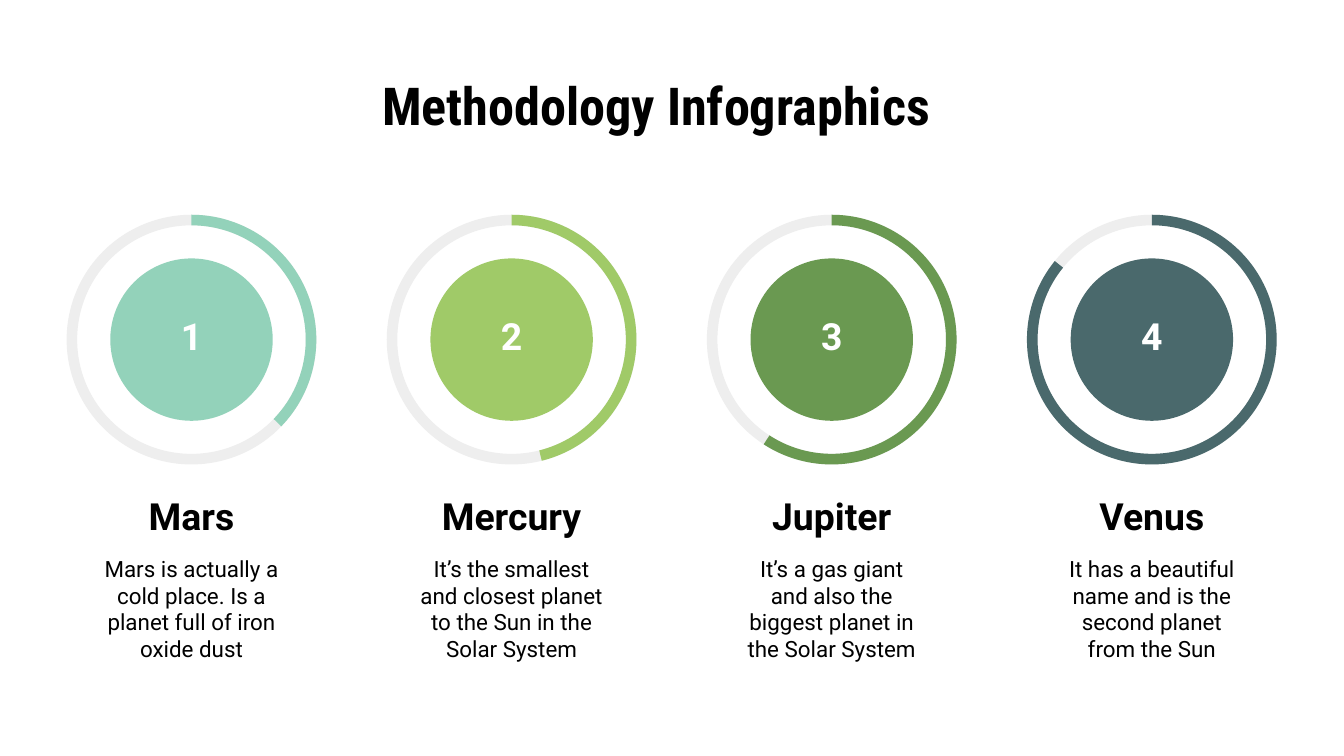
from dataclasses import dataclass

from pptx import Presentation
from pptx.dml.color import RGBColor
from pptx.enum.shapes import MSO_SHAPE as Preset
from pptx.enum.text import MSO_ANCHOR as Anchor, PP_ALIGN as Align
from pptx.shapes.autoshape import Shape
from pptx.slide import Slide
from pptx.util import Cm, Pt


@dataclass(frozen=True)
class Theme:
    text: str = "000000"
    number: str = "FFFFFF"
    track: str = "EEEEEE"
    body_font: str = "Roboto"
    title_font: str = "Roboto Condensed"
    title_size: int = 28
    heading_size: int = 20
    body_size: int = 12


@dataclass(frozen=True)
class Step:
    name: str
    description: str
    color: str
    end_angle: float


THEME = Theme()
STEPS = [
    Step("Mars", "Mars is actually a cold place. Is a planet full of iron oxide dust",
         "93D2BA", 44),
    Step("Mercury", "It’s the smallest and closest planet to the Sun in the Solar System",
         "A0CA68", 76),
    Step("Jupiter", "It’s a gas giant and also the biggest planet in the Solar System",
         "6A9951", 123),
    Step("Venus", "It has a beautiful name and is the second planet from the Sun",
         "4A696C", 219),
]

FIRST_CENTER, STEP_PITCH = 3.62, 6.05
RING_MIDDLE, RING_DIAMETER, DISC_DIAMETER = 6.42, 4.72, 3.07
RING_THICKNESS = 0.2 / RING_DIAMETER
TOP_ANGLE = 270
ANGLE_UNIT = 0.6


def add_text(slide: Slide, text: str, *, center: float, top: float, width: float,
             height: float, size: int, color: str = THEME.text,
             font: str = THEME.body_font, bold: bool = False,
             anchor: Anchor = Anchor.MIDDLE) -> None:
    box = slide.shapes.add_textbox(Cm(center - width / 2), Cm(top), Cm(width), Cm(height))
    frame = box.text_frame
    frame.word_wrap = True
    frame.vertical_anchor = anchor
    frame.margin_left = frame.margin_right = Cm(0.25)
    frame.margin_top = frame.margin_bottom = Cm(0.25)
    paragraph = frame.paragraphs[0]
    paragraph.alignment = Align.CENTER
    run = paragraph.add_run()
    run.text = text
    run.font.name = font
    run.font.size = Pt(size)
    run.font.bold = bold
    run.font.color.rgb = RGBColor.from_string(color)


def add_round(slide: Slide, preset: Preset, center: float, diameter: float,
              color: str) -> Shape:
    shape = slide.shapes.add_shape(
        preset, Cm(center - diameter / 2), Cm(RING_MIDDLE - diameter / 2),
        Cm(diameter), Cm(diameter))
    shape.shadow.inherit = False
    shape.fill.solid()
    shape.fill.fore_color.rgb = RGBColor.from_string(color)
    shape.line.fill.background()
    return shape


def add_step(slide: Slide, number: int, step: Step) -> None:
    center = FIRST_CENTER + (number - 1) * STEP_PITCH
    add_round(slide, Preset.OVAL, center, DISC_DIAMETER, step.color)
    track = add_round(slide, Preset.DONUT, center, RING_DIAMETER, THEME.track)
    track.adjustments[0] = RING_THICKNESS
    progress = add_round(slide, Preset.BLOCK_ARC, center, RING_DIAMETER, step.color)
    progress.adjustments[0] = TOP_ANGLE * ANGLE_UNIT
    progress.adjustments[1] = step.end_angle * ANGLE_UNIT
    progress.adjustments[2] = RING_THICKNESS

    add_text(slide, step.description, center=center, top=10.58, width=4.01, height=1.85,
             size=THEME.body_size)
    add_text(slide, step.name, center=center, top=9.22, width=4.04, height=1.04,
             size=THEME.heading_size, bold=True)
    add_text(slide, str(number), center=center, top=5.82, width=4.04, height=1.04,
             size=THEME.heading_size, color=THEME.number, bold=True)


def main() -> None:
    presentation = Presentation()
    presentation.slide_width = Cm(25.4)
    presentation.slide_height = Cm(14.29)
    slide = presentation.slides.add_slide(presentation.slide_layouts[6])
    for number, step in enumerate(STEPS, start=1):
        add_step(slide, number, step)
    add_text(slide, "Methodology Infographics", center=12.4, top=1.14, width=22.25,
             height=1.32, size=THEME.title_size, font=THEME.title_font, bold=True,
             anchor=Anchor.TOP)
    presentation.save("out.pptx")


if __name__ == "__main__":
    main()
